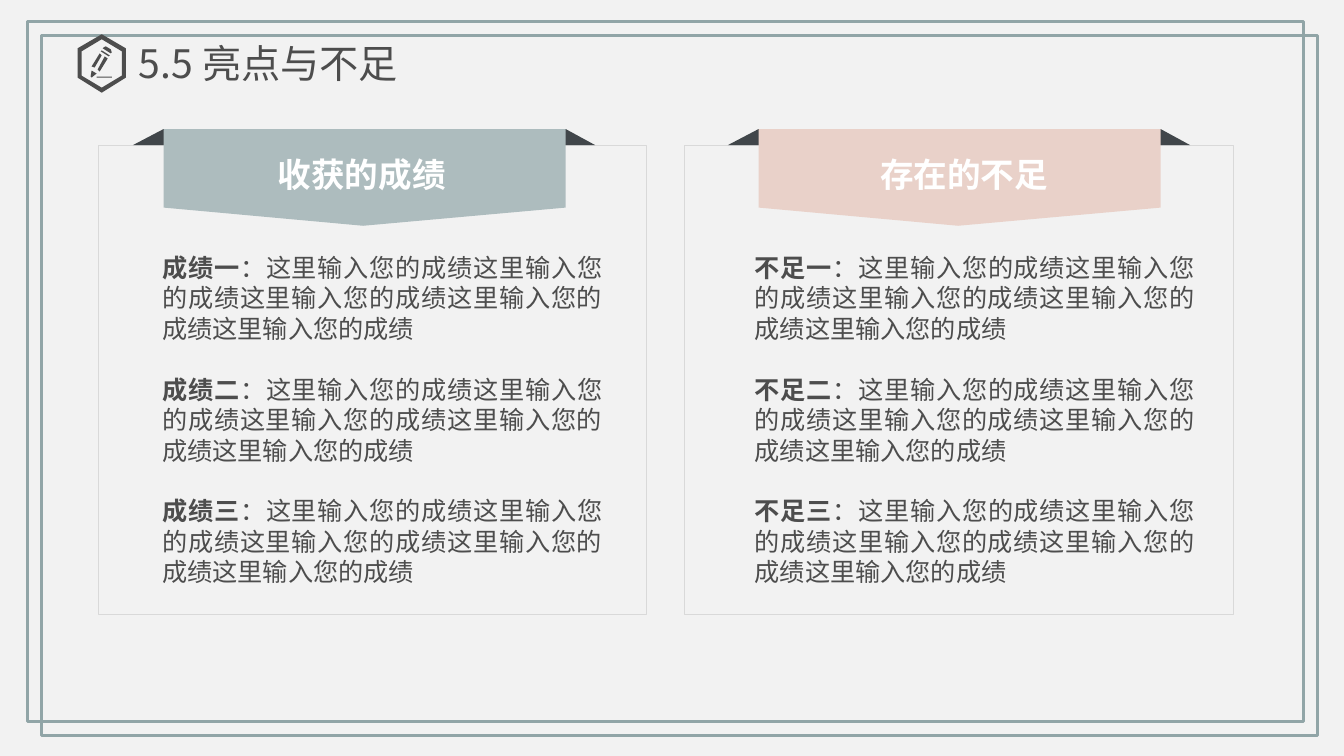
import dataclasses

import pptx
import pptx.dml.color
import pptx.enum.shapes
import pptx.enum.text
import pptx.oxml.ns
import pptx.util
from lxml import etree

# Lengths are percentages of the slide's width (x) and height (y).
SLIDE_WIDTH, SLIDE_HEIGHT = pptx.util.Inches(13.34), pptx.util.Inches(7.5)
FONT = "Noto Sans CJK SC"
BACKGROUND, INK, FRAME = "F2F2F2", "4D4D4D", "91A5A7"
CARD_EDGE, FOLD, WHITE = "D9D9D9", "41464A", "FFFFFF"
LINE_PITCH = pptx.util.Pt(21.75)
DETAIL = "：" + "这里输入您的成绩" * 5

Contour = list[tuple[float, float]]


@dataclasses.dataclass(frozen=True)
class Box:
    left: float
    top: float
    width: float
    height: float

    def emu(self) -> tuple[int, int, int, int]:
        return (across(self.left), down(self.top), across(self.width), down(self.height))


@dataclasses.dataclass(frozen=True)
class Panel:
    heading: str
    item: str
    color: str
    card_left: float
    ribbon_left: float
    heading_left: float
    heading_width: float
    list_left: float


FRAMES = [Box(2.02, 2.8, 94.98, 92.67), Box(3.07, 4.67, 94.98, 92.67)]
PANELS = [
    Panel("收获的成绩", "成绩", "ADBCBE", 7.35, 12.18, 19.87, 14.09, 11.32),
    Panel("存在的不足", "不足", "E9D1C9", 50.97, 56.45, 61.62, 20.24, 55.4),
]

# The pencil badge is drawn on a grid of 48 columns by 58 rows.
BADGE = Box(5.77, 4.53, 3.6, 7.73)
BADGE_COLUMNS, BADGE_ROWS = 48, 58
BADGE_CONTOURS: list[Contour] = [
    [(24, 0), (48, 14), (48, 43), (24, 58), (0, 43), (0, 14)],
    [(24, 5), (44, 17), (44, 41), (24, 53), (4, 41), (4, 17)],
    [(19, 42), (34, 42), (34, 43), (19, 43)],
    [(20, 35), (27, 22), (30, 24), (22, 37)],
    [(14, 32), (22, 19), (24, 21), (17, 33)],
    [(13, 42), (14, 36), (19, 39), (14, 43)],
    [(24, 16), (23, 17), (31, 22), (32, 21)],
    [(26, 13), (28, 12), (33, 15), (34, 18), (33, 19), (25, 14)],
]


def across(share: float) -> int:
    return round(SLIDE_WIDTH * share / 100)


def down(share: float) -> int:
    return round(SLIDE_HEIGHT * share / 100)


def rgb(color: str) -> pptx.dml.color.RGBColor:
    return pptx.dml.color.RGBColor.from_string(color)


def paint(shape, fill: str | None, line: str | None = None, line_width: float = 0) -> None:
    shape.shadow.inherit = False
    if fill:
        shape.fill.solid()
        shape.fill.fore_color.rgb = rgb(fill)
    else:
        shape.fill.background()
    if line:
        shape.line.color.rgb = rgb(line)
        shape.line.width = pptx.util.Pt(line_width)
    else:
        shape.line.fill.background()


def add_rectangle(slide, box: Box, fill: str | None, line: str, line_width: float) -> None:
    shape = slide.shapes.add_shape(pptx.enum.shapes.MSO_SHAPE.RECTANGLE, *box.emu())
    paint(shape, fill, line, line_width)


def add_outline(slide, contours: list[Contour], fill: str) -> None:
    """Draw closed contours as one filled shape; nested contours cut holes."""
    scaled = [[(across(x), down(y)) for x, y in contour] for contour in contours]
    builder = slide.shapes.build_freeform(*scaled[0][0])
    for index, contour in enumerate(scaled):
        if index:
            builder.move_to(*contour[0])
        builder.add_line_segments(contour[1:], close=True)
    paint(builder.convert_to_shape(), fill)


def add_run(paragraph, text: str, size: float, color: str, bold: bool = False) -> None:
    run = paragraph.add_run()
    run.text = text
    run.font.name = FONT
    run.font.size = pptx.util.Pt(size)
    run.font.bold = bold
    run.font.color.rgb = rgb(color)
    east_asian = etree.SubElement(run.font._element, pptx.oxml.ns.qn("a:ea"))
    east_asian.set("typeface", FONT)


def place(shape, box: Box) -> None:
    """Position a placeholder and bring it to the front."""
    shape.left, shape.top, shape.width, shape.height = box.emu()
    shape.element.getparent().append(shape.element)
    shape.text_frame.word_wrap = True
    shape.text_frame.auto_size = pptx.enum.text.MSO_AUTO_SIZE.NONE


def add_panel(slide, panel: Panel) -> None:
    add_rectangle(slide, Box(panel.card_left, 19.2, 40.78, 62.13), BACKGROUND, CARD_EDGE, 0.75)
    left, right, top = panel.ribbon_left, panel.ribbon_left + 29.91, 17.07
    fold = [(left, top), (right, top), (right + 2.2, 19.2), (left - 2.29, 19.2)]
    ribbon = [(left, top), (right, top), (right, 27.47), (left + 14.84, 29.87), (left, 27.47)]
    add_outline(slide, [fold], FOLD)
    add_outline(slide, [ribbon], panel.color)

    heading_box = Box(panel.heading_left, 19.73, panel.heading_width, 6.67)
    frame = slide.shapes.add_textbox(*heading_box.emu()).text_frame
    frame.word_wrap = False
    frame.vertical_anchor = pptx.enum.text.MSO_ANCHOR.MIDDLE
    frame.paragraphs[0].alignment = pptx.enum.text.PP_ALIGN.CENTER
    add_run(frame.paragraphs[0], panel.heading, 24, WHITE, bold=True)


def fill_list(placeholder, panel: Panel) -> None:
    place(placeholder, Box(panel.list_left, 32.67, 34.26, 45.73))
    frame = placeholder.text_frame
    for index, number in enumerate("一二三"):
        paragraph = frame.add_paragraph() if index else frame.paragraphs[0]
        properties = paragraph._p.get_or_add_pPr()
        properties.set("marL", "0")
        properties.set("indent", "0")
        etree.SubElement(properties, pptx.oxml.ns.qn("a:buNone"))
        paragraph.alignment = pptx.enum.text.PP_ALIGN.JUSTIFY
        paragraph.line_spacing = LINE_PITCH
        paragraph.space_before = LINE_PITCH if index else pptx.util.Pt(0)
        add_run(paragraph, panel.item + number, 18, INK, bold=True)
        add_run(paragraph, DETAIL, 18, INK)


def fill_title(title) -> None:
    place(title, Box(10.34, 5.2, 29.91, 6.27))
    frame = title.text_frame
    frame.margin_left = frame.margin_right = frame.margin_top = frame.margin_bottom = 0
    frame.vertical_anchor = pptx.enum.text.MSO_ANCHOR.MIDDLE
    frame.paragraphs[0].alignment = pptx.enum.text.PP_ALIGN.LEFT
    add_run(frame.paragraphs[0], "5.5 亮点与不足", 28, INK)


def add_badge(slide) -> None:
    column, row = BADGE.width / BADGE_COLUMNS, BADGE.height / BADGE_ROWS
    contours = [
        [(BADGE.left + x * column, BADGE.top + y * row) for x, y in contour]
        for contour in BADGE_CONTOURS
    ]
    add_outline(slide, contours, INK)


def main() -> None:
    presentation = pptx.Presentation()
    presentation.slide_width, presentation.slide_height = SLIDE_WIDTH, SLIDE_HEIGHT
    two_lists = presentation.slide_layouts.get_by_name("Two Content")
    slide = presentation.slides.add_slide(two_lists)
    slide.background.fill.solid()
    slide.background.fill.fore_color.rgb = rgb(BACKGROUND)
    title, *lists = list(slide.placeholders)

    for frame in FRAMES:
        add_rectangle(slide, frame, None, FRAME, 2)
    for panel in PANELS:
        add_panel(slide, panel)
    for placeholder, panel in zip(lists, PANELS):
        fill_list(placeholder, panel)
    fill_title(title)
    add_badge(slide)
    presentation.save("out.pptx")


if __name__ == "__main__":
    main()
